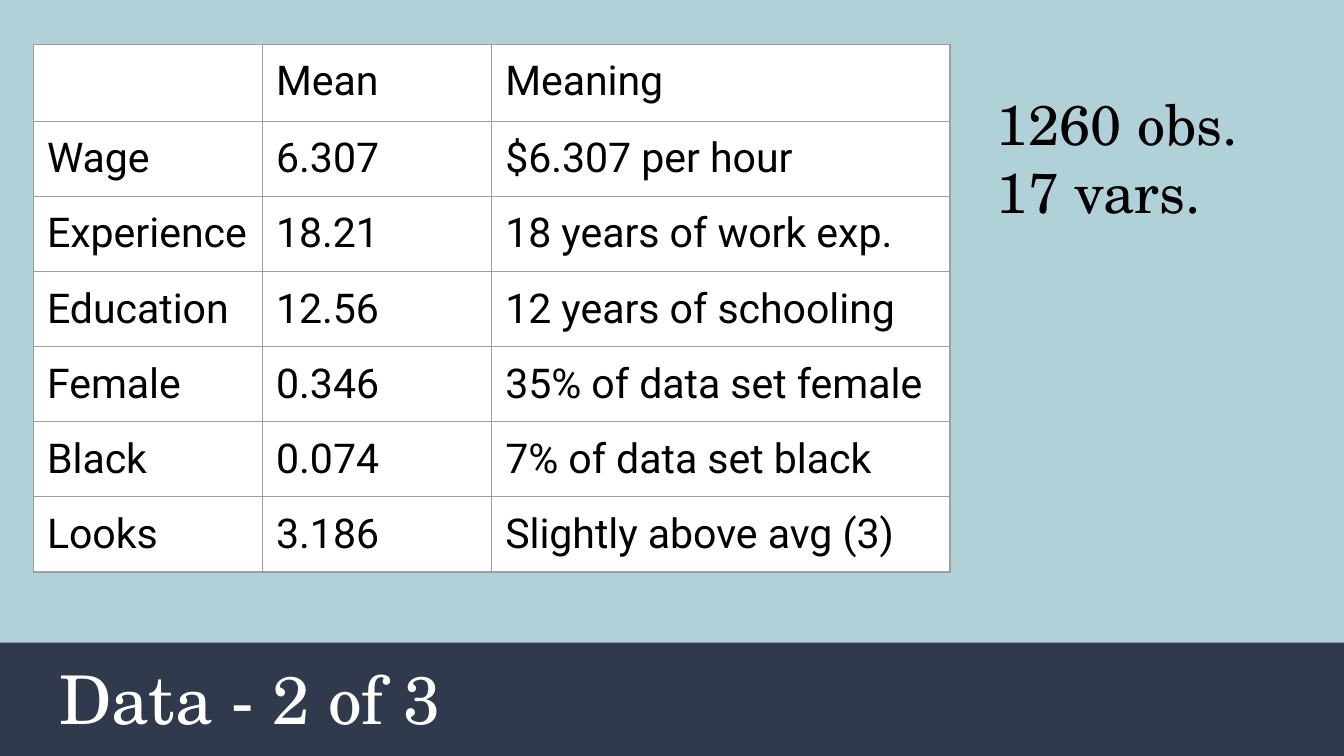
import pptx
import pptx.dml.color
import pptx.enum.shapes
import pptx.enum.text
import pptx.oxml
import pptx.oxml.ns
import pptx.util

Inches, Pt = pptx.util.Inches, pptx.util.Pt
ANCHOR = pptx.enum.text.MSO_ANCHOR

# Content
TITLE = "Data - 2 of 3"
SIZE_NOTES = ["1260 obs.", "17 vars."]
ROWS = [
    ("", "Mean", "Meaning"),
    ("Wage", "6.307", "$6.307 per hour"),
    ("Experience", "18.21", "18 years of work exp."),
    ("Education", "12.56", "12 years of schooling"),
    ("Female", "0.346", "35% of data set female"),
    ("Black", "0.074", "7% of data set black"),
    ("Looks", "3.186", "Slightly above avg (3)"),
]

# Style and layout
COLORS = {"background": "B1D1D9", "band": "31394D", "cell": "FFFFFF",
          "border": "9E9E9E", "text": "000000", "title": "FFFFFF"}
SERIF, SANS = "TeX Gyre Schola", "Roboto"
WIDTH = 10
HEIGHT = WIDTH * 9 / 16
BAND_TOP = 0.85 * HEIGHT
COLS = 4  # the last two columns are merged
TABLE_WIDTH = 6.82
COL_WIDTH = TABLE_WIDTH / COLS
HEAD_HEIGHT, ROW_HEIGHT = 0.57, 0.52


def paint(fill, color):
    fill.solid()
    fill.fore_color.rgb = pptx.dml.color.RGBColor.from_string(COLORS[color])


def write(tf, lines, font=SERIF, size=30, color="text", anchor=ANCHOR.TOP):
    tf.word_wrap = True
    tf.vertical_anchor = anchor
    tf.margin_left = tf.margin_right = tf.margin_top = tf.margin_bottom = Inches(0.1)
    for i, line in enumerate(lines):
        p = tf.add_paragraph() if i else tf.paragraphs[0]
        p.alignment = pptx.enum.text.PP_ALIGN.LEFT
        p.font.size = Pt(size)
        if line:
            r = p.add_run()
            r.text = line
            r.font.name = font
            r.font.size = Pt(size)
            paint(r.font.fill, color)


def add_borders(cell):
    tc_pr = cell._tc.get_or_add_tcPr()
    for i, side in enumerate(("lnL", "lnR", "lnT", "lnB")):
        tc_pr.insert(i, pptx.oxml.parse_xml(
            f'<a:{side} {pptx.oxml.ns.nsdecls("a")} w="{Pt(0.75)}"><a:solidFill>'
            f'<a:srgbClr val="{COLORS["border"]}"/></a:solidFill></a:{side}>'))


prs = pptx.Presentation()
prs.slide_width, prs.slide_height = Inches(WIDTH), Inches(HEIGHT)
s = prs.slides.add_slide(prs.slide_layouts[5])
paint(s.background.fill, "background")

# Title band, sent behind the title
band = s.shapes.add_shape(pptx.enum.shapes.MSO_SHAPE.RECTANGLE, 0, Inches(BAND_TOP),
                          prs.slide_width, Inches(HEIGHT - BAND_TOP))
band.shadow.inherit = False
paint(band.fill, "band")
band.line.fill.background()
s.shapes._spTree.insert(2, band._element)

# Title
title = s.shapes.title
title.left, title.top = Inches(0.34), Inches(4.94)
title.width, title.height = Inches(8.73), Inches(0.5)
write(title.text_frame, [TITLE], size=36, color="title", anchor=ANCHOR.MIDDLE)
title.text_frame.auto_size = pptx.enum.text.MSO_AUTO_SIZE.NONE

# Table of means
table = s.shapes.add_table(
    len(ROWS), COLS, Inches(0.25), Inches(0.33), Inches(TABLE_WIDTH),
    Inches(HEAD_HEIGHT + ROW_HEIGHT * (len(ROWS) - 1))).table
table.first_row = table.horz_banding = False
for col in table.columns:
    col.width = Inches(COL_WIDTH)
for i, values in enumerate(ROWS):
    table.rows[i].height = Inches(ROW_HEIGHT if i else HEAD_HEIGHT)
    table.cell(i, 2).merge(table.cell(i, 3))
    for j in range(COLS):
        cell = table.cell(i, j)
        paint(cell.fill, "cell")
        add_borders(cell)
        if j < len(values):
            cell.margin_left = cell.margin_right = Inches(0.1)
            cell.margin_top = cell.margin_bottom = Inches(0.1)
            write(cell.text_frame, [values[j]], font=SANS, size=22)

# Size of the data set
notes = s.shapes.add_textbox(Inches(7.32), Inches(0.57), Inches(2.14), Inches(1.54))
write(notes.text_frame, SIZE_NOTES)

prs.save("out.pptx")
